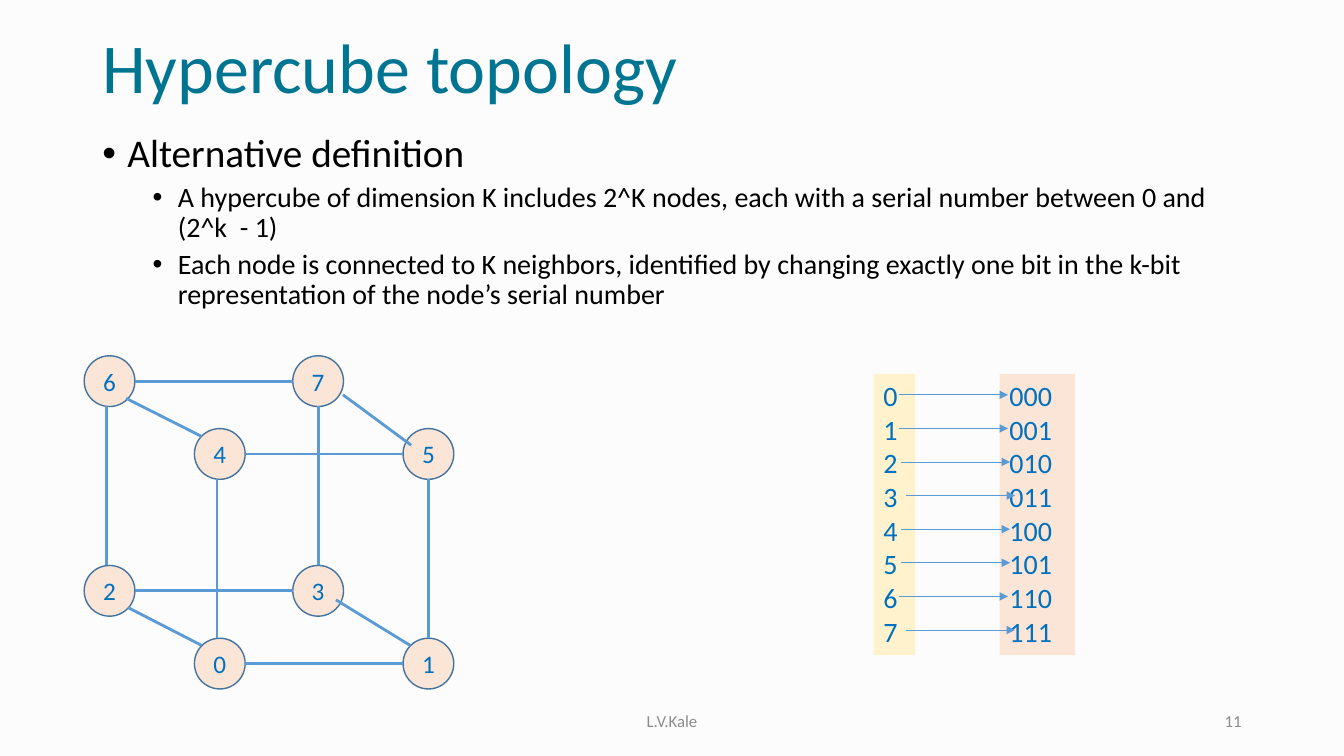
"""Build the hypercube topology slide with its cube diagram and binary table."""
from lxml.etree import SubElement
from pptx import Presentation
from pptx.dml.color import RGBColor
from pptx.enum.shapes import MSO_CONNECTOR, MSO_SHAPE
from pptx.enum.text import MSO_ANCHOR, PP_ALIGN
from pptx.oxml.ns import qn
from pptx.util import Pt

BACKGROUND = RGBColor(0xFC, 0xFC, 0xFC)
TEAL = RGBColor(0x00, 0x75, 0x92)
BLACK = RGBColor(0x00, 0x00, 0x00)
GRAY = RGBColor(0x8C, 0x8C, 0x8C)
BLUE = RGBColor(0x00, 0x70, 0xC0)
EDGE_BLUE = RGBColor(0x5B, 0x9B, 0xD5)
OUTLINE_BLUE = RGBColor(0x43, 0x73, 0x9E)
YELLOW = RGBColor(0xFF, 0xF2, 0xCC)
PEACH = RGBColor(0xFB, 0xE5, 0xD6)


def write(shape, lines, size, color, align=PP_ALIGN.LEFT, anchor=MSO_ANCHOR.TOP):
    frame = shape.text_frame
    frame.word_wrap = True
    frame.vertical_anchor = anchor
    frame.text = "\n".join(lines)
    for para in frame.paragraphs:
        para.alignment = align
        para.font.name = "Calibri"
        para.font.size = Pt(size)
        para.font.color.rgb = color
    return frame


def connect(start, end, width):
    line = page.shapes.add_connector(MSO_CONNECTOR.STRAIGHT, *map(Pt, start + end))
    line.line.color.rgb = EDGE_BLUE
    line.line.width = Pt(width)
    SubElement(line._element.spPr, qn("a:effectLst"))
    return line


deck = Presentation()
deck.slide_width, deck.slide_height = Pt(960), Pt(540)
page = deck.slides.add_slide(deck.slide_layouts[6])
page.background.fill.solid()
page.background.fill.fore_color.rgb = BACKGROUND

title = page.shapes.add_textbox(Pt(66), Pt(20), Pt(828), Pt(60.5))
title_frame = write(title, ["Hypercube topology"], 50, TEAL, anchor=MSO_ANCHOR.MIDDLE)
title_frame.paragraphs[0].line_spacing = 0.9

bullets = [
    (0, 28, "Alternative definition"),
    (1, 20, "A hypercube of dimension K includes 2^K nodes, each with a serial number between 0 and (2^k  - 1)"),
    (1, 20, "Each node is connected to K neighbors, identified by changing exactly one bit in the k-bit representation of the node’s serial number"),
]
body = page.shapes.add_textbox(Pt(66), Pt(92), Pt(822), Pt(172))
body.text_frame.word_wrap = True
for index, (level, size, text) in enumerate(bullets):
    para = body.text_frame.paragraphs[0] if index == 0 else body.text_frame.add_paragraph()
    para.level = level
    para.line_spacing = 0.9
    para.space_before = Pt(5 * level)
    properties = para._p.get_or_add_pPr()
    properties.set("marL", str(Pt(18 + 36 * level)))
    properties.set("indent", str(-Pt(18)))
    SubElement(properties, qn("a:buFont"), typeface="Arial")
    SubElement(properties, qn("a:buChar"), char="•")
    span = para.add_run()
    span.text = text
    for name, value in {"name": "Calibri", "size": Pt(size)}.items():
        setattr(span.font, name, value)
    span.font.color.rgb = BLACK

for left, width, text, align in [
    (318, 324, "L.V.Kale", PP_ALIGN.CENTER),
    (678, 216, "11", PP_ALIGN.RIGHT),
]:
    footer = page.shapes.add_textbox(Pt(left), Pt(500.5), Pt(width), Pt(28.75))
    write(footer, [text], 12, GRAY, align, MSO_ANCHOR.MIDDLE)

for left, width, fill, pattern in [(624, 30, YELLOW, "d"), (714, 54, PEACH, "03b")]:
    column = page.shapes.add_shape(MSO_SHAPE.RECTANGLE, Pt(left), Pt(267), Pt(width), Pt(201))
    column.shadow.inherit = False
    column.fill.solid()
    column.fill.fore_color.rgb = fill
    column.line.fill.background()
    write(column, [format(number, pattern) for number in range(8)], 20, BLUE)

for row, left in enumerate([642, 642, 643.5, 647, 643.5, 643.5, 642, 647]):
    height = 282 + 24 * row
    arrow = connect((left, height), (left + 78, height), 0.5)
    SubElement(arrow.line._get_or_add_ln(), qn("a:tailEnd"), type="triangle")

DIAMETER = 36.25
RADIUS = DIAMETER / 2
centers = []
for node in range(8):
    right, back, up = node & 1, node >> 1 & 1, node >> 2 & 1
    x, y = 157 + 149 * right - 78.75 * back, 474 - 52 * back - 149.75 * up
    centers.append((x, y))
    circle = page.shapes.add_shape(
        MSO_SHAPE.OVAL, Pt(x - RADIUS), Pt(y - RADIUS), Pt(DIAMETER), Pt(DIAMETER))
    circle.shadow.inherit = False
    circle.fill.solid()
    circle.fill.fore_color.rgb = PEACH
    circle.line.color.rgb = OUTLINE_BLUE
    circle.line.width = Pt(1)
    write(circle, [str(node)], 18, BLUE, PP_ALIGN.CENTER, MSO_ANCHOR.MIDDLE)

for node, (x, y) in enumerate(centers):
    if not node & 1:
        connect((x + RADIUS, y), (centers[node ^ 1][0] - RADIUS, y), 2)
    if not node & 4:
        edge_x = x if node & 1 else x - 2
        connect((edge_x, y - RADIUS), (edge_x, centers[node ^ 4][1] + RADIUS), 2)

for start, end in [
    ((91.5, 434), (144, 461)),
    ((90, 284.5), (144, 311.75)),
    ((240, 428.5), (293, 461)),
    ((245, 282), (293.75, 318)),
]:
    connect(start, end, 2)

deck.save("out.pptx")
